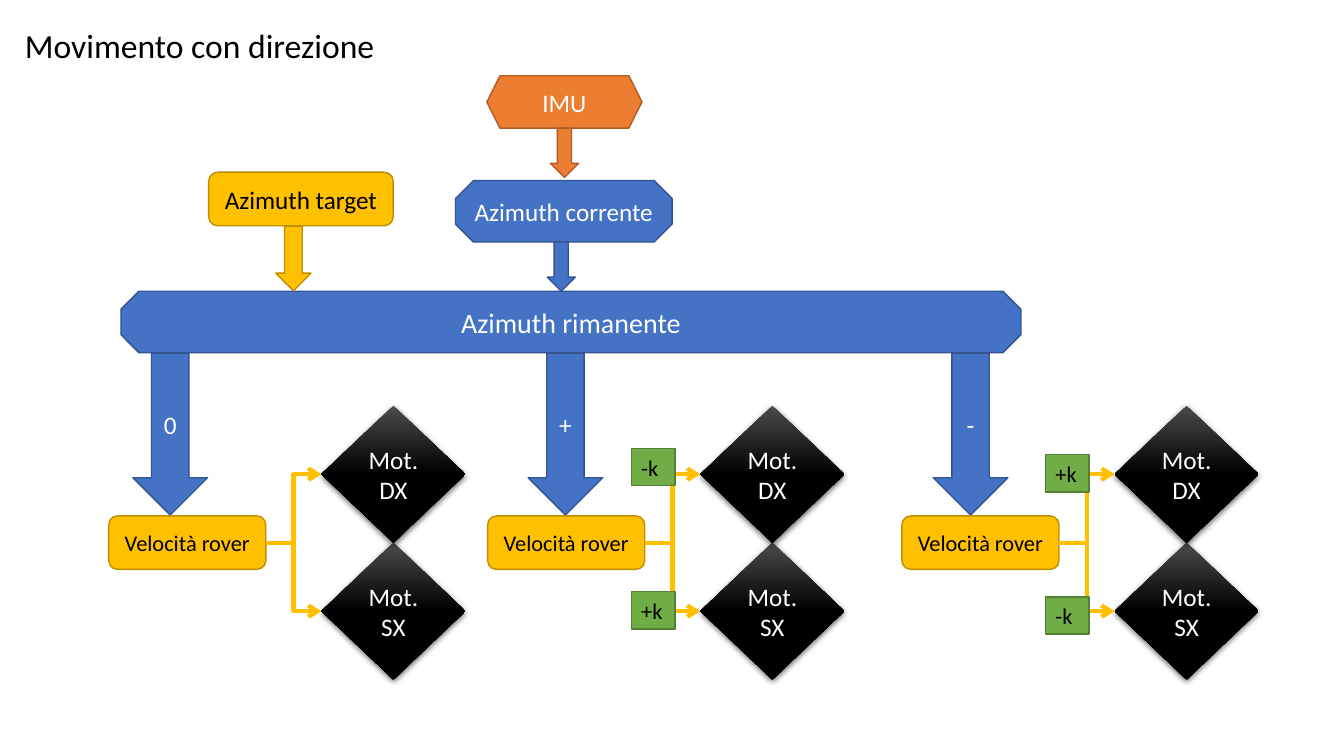
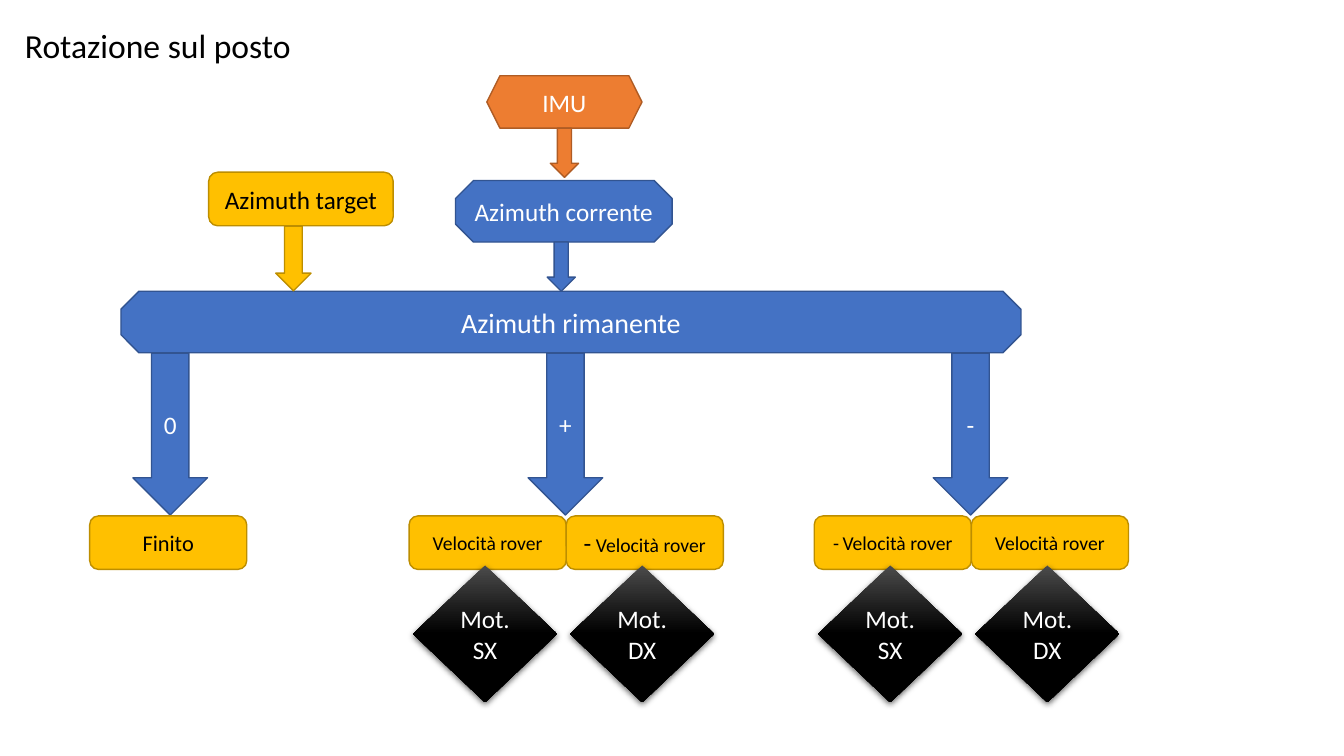
from lxml.etree import SubElement
from pptx import Presentation
from pptx.dml.color import RGBColor
from pptx.enum.shapes import MSO_CONNECTOR, MSO_SHAPE
from pptx.enum.text import MSO_ANCHOR, PP_ALIGN
from pptx.oxml.ns import qn
from pptx.util import Cm, Pt

FONT = "Calibri"
BLACK, WHITE = "000000", "FFFFFF"
# Each style: fill, outline, text colour
BLUE = ("4472C4", "325491", WHITE)
ORANGE = ("ED7D31", "AF5C24", WHITE)
YELLOW = ("FFC000", "BD8E00", BLACK)
GREEN = ("70AD47", "538035", BLACK)

BOX_W, BOX_H, BOX_TOP = 3.96, 1.35, 13
MOTOR_W, MOTOR_H = 3.63, 3.45
BRANCHES = (("0", 3.35), ("+", 13.31), ("-", 23.52))
SPEED = "Velocità rover"


def rgb(value):
    return RGBColor.from_string(value)


def write(sp, runs, color, align=PP_ALIGN.CENTER):
    """Fill a shape with one paragraph made of (text, size) runs."""
    tf = sp.text_frame
    tf.word_wrap = True
    tf.margin_left = Cm(0.1 if align == PP_ALIGN.CENTER else 0.25)
    tf.margin_right = Cm(0.1)
    p = tf.paragraphs[0]
    p.alignment = align
    p.font.name = FONT
    p.font.color.rgb = rgb(color)
    for text, size in runs:
        r = p.add_run()
        r.text = text
        r.font.size = Pt(size)


def add_block(s, kind, box, style, *runs, align=PP_ALIGN.CENTER):
    """Add an outlined preset shape; box is left, top, width, height in cm."""
    fill, outline, color = style
    sp = s.shapes.add_shape(kind, *map(Cm, box))
    sp.shadow.inherit = False
    sp.fill.solid()
    sp.fill.fore_color.rgb = rgb(fill)
    sp.line.color.rgb = rgb(outline)
    sp.line.width = Pt(1)
    sp.text_frame.vertical_anchor = MSO_ANCHOR.MIDDLE
    if runs:
        write(sp, runs, color, align)
    return sp


def add_box(s, left, *runs):
    return add_block(s, MSO_SHAPE.ROUNDED_RECTANGLE,
                     (left, BOX_TOP, BOX_W, BOX_H), YELLOW, *runs)


def add_arrow(s, box, style, *runs):
    return add_block(s, MSO_SHAPE.DOWN_ARROW, box, style, *runs)


def add_motor(s, left, top, side):
    """Add a black gradient diamond with a soft shadow below it."""
    sp = s.shapes.add_shape(MSO_SHAPE.DIAMOND, Cm(left), Cm(top),
                            Cm(MOTOR_W), Cm(MOTOR_H))
    sp.fill.gradient()
    sp.fill.gradient_angle = 270
    stops = zip(sp.fill.gradient_stops, ((0, "4B4B4B"), (0.5, BLACK)))
    for stop, (position, color) in stops:
        stop.position = position
        stop.color.rgb = rgb(color)
    sp.line.fill.background()
    sp.shadow.inherit = False
    effects = sp._element.spPr.find(qn("a:effectLst"))
    shadow = SubElement(effects, qn("a:outerShdw"), blurRad=str(Pt(4.5)),
                        dist=str(Pt(1.5)), dir="5400000", algn="ctr",
                        rotWithShape="0")
    color = SubElement(shadow, qn("a:srgbClr"), val=BLACK)
    SubElement(color, qn("a:alpha"), val="63000")
    sp.text_frame.vertical_anchor = MSO_ANCHOR.MIDDLE
    write(sp, [(f"Mot. {side}", 18)], WHITE)
    return sp


def link(s, box, motor):
    """Join the right side of a box to the left corner of a motor."""
    line = s.shapes.add_connector(
        MSO_CONNECTOR.ELBOW, box.left + box.width, box.top + box.height // 2,
        motor.left, motor.top + motor.height // 2)
    line.begin_connect(box, 3)
    line.end_connect(motor, 1)
    line.line.color.rgb = rgb(YELLOW[0])
    line.line.width = Pt(3)
    SubElement(line.line._get_or_add_ln(), qn("a:tailEnd"), type="arrow")
    SubElement(line._element.spPr, qn("a:effectLst"))


def add_gain(s, left, top, text):
    add_block(s, MSO_SHAPE.RECTANGLE, (left, top, 1.1, 0.94), GREEN,
              (text, 16), align=PP_ALIGN.LEFT)


def add_flow_slide(prs, title):
    """Add a slide with the title and the azimuth flow both slides share."""
    s = prs.slides.add_slide(prs.slide_layouts[6])
    heading = s.shapes.add_textbox(Cm(0.38), Cm(0.5), Cm(9.55), Cm(1.27))
    write(heading, [(title, 24)], BLACK, PP_ALIGN.LEFT)
    add_block(s, MSO_SHAPE.ROUNDED_RECTANGLE, (5.26, 4.34, 4.65, BOX_H),
              YELLOW, ("Azimuth target", 18))
    add_block(s, MSO_SHAPE.HEXAGON, (12.27, 1.91, 3.91, 1.32), ORANGE,
              ("IMU", 18))
    add_block(s, MSO_SHAPE.OCTAGON, (11.48, 4.55, 5.46, 1.55), BLUE,
              ("Azimuth corrente", 18))
    add_block(s, MSO_SHAPE.OCTAGON, (3.05, 7.34, 22.68, 1.55), BLUE,
              ("Azimuth rimanente", 20))
    add_arrow(s, (13.87, 3.23, 0.71, 1.24), ORANGE)
    add_arrow(s, (13.79, 6.1, 0.71, 1.24), BLUE)
    add_arrow(s, (6.95, 5.7, 0.89, 1.63), YELLOW)
    for sign, left in BRANCHES:
        add_arrow(s, (left, 8.9, 1.88, 4.08), BLUE, (sign, 18))
    return s


def add_direction_slide(prs):
    s = add_flow_slide(prs, "Movimento con direzione")
    branches = (
        (2.74, ()),
        (12.29, ((11.3, "-k"), (14.91, "+k"))),
        (22.73, ((11.46, "+k"), (15.04, "-k"))),
    )
    for left, gains in branches:
        box = add_box(s, left, (SPEED, 16))
        middle = BOX_TOP + BOX_H / 2
        for side, top in (("SX", middle), ("DX", middle - MOTOR_H)):
            link(s, box, add_motor(s, left + 5.36, top, side))
        for top, text in gains:
            add_gain(s, left + 3.62, top, text)


def add_rotation_slide(prs):
    s = add_flow_slide(prs, "Rotazione sul posto")
    add_box(s, 2.26, ("Finito", 16))
    forward = [(SPEED, 14)]
    branches = (
        (10.31, (forward, [("-", 18), (f" {SPEED}", 14)])),
        (20.52, ([("-", 14), (" ", 11), (SPEED, 14)], forward)),
    )
    for left, speeds in branches:
        for i, (side, runs) in enumerate(zip(("SX", "DX"), speeds)):
            box_left = left + i * BOX_W
            add_box(s, box_left, *runs)
            add_motor(s, box_left + 0.1, 14.25, side)


def main():
    prs = Presentation()
    prs.slide_width, prs.slide_height = Cm(33.87), Cm(19.05)
    add_direction_slide(prs)
    add_rotation_slide(prs)
    prs.save("out.pptx")


if __name__ == "__main__":
    main()
